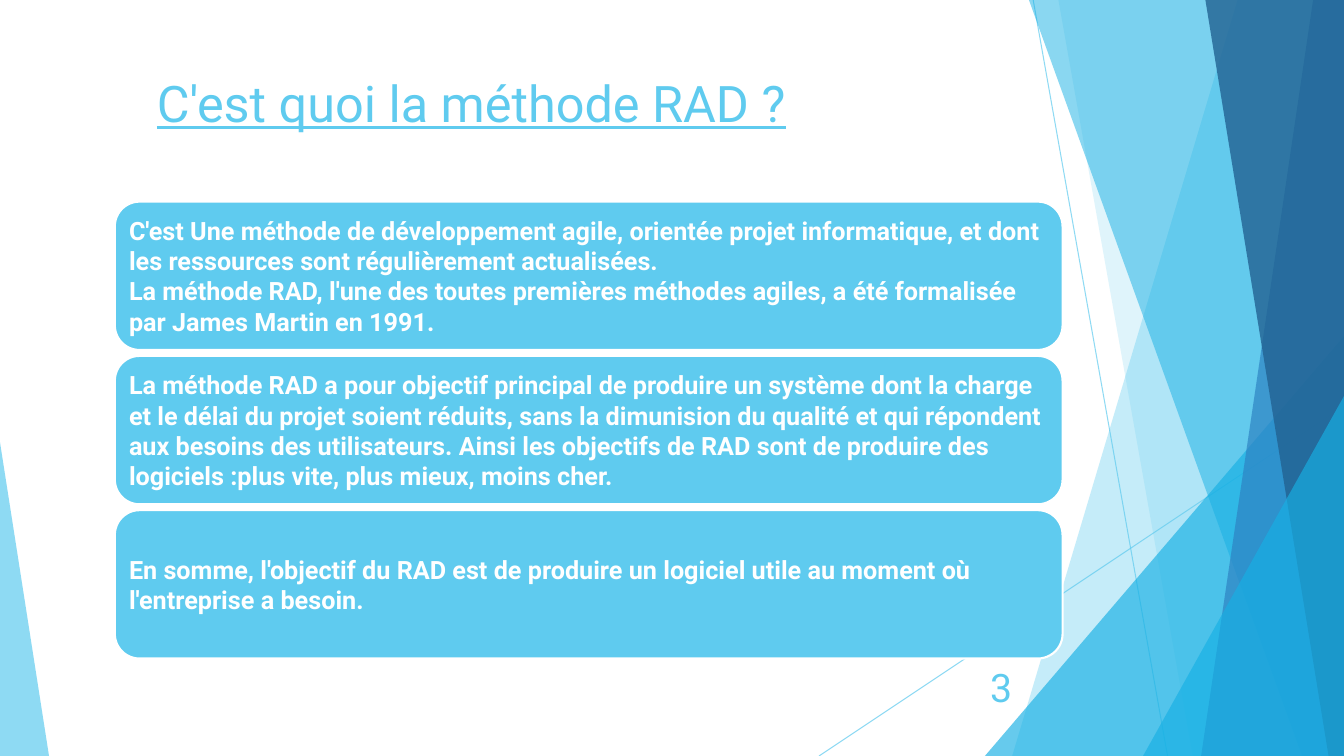
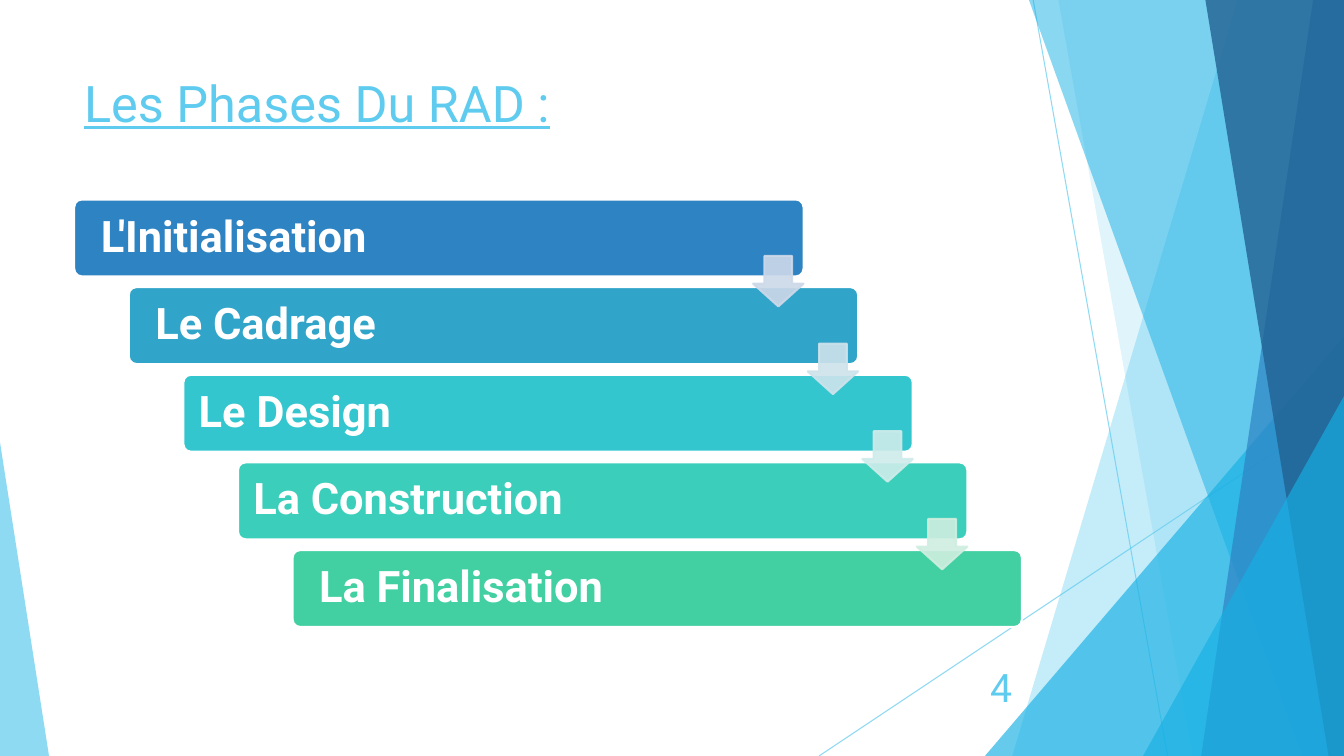
from lxml.etree import SubElement
from pptx import Presentation
from pptx.dml.color import RGBColor
from pptx.enum.shapes import MSO_CONNECTOR, MSO_SHAPE
from pptx.enum.text import MSO_ANCHOR, PP_ALIGN
from pptx.oxml.ns import qn
from pptx.util import Pt

WIDTH, HEIGHT = 960, 540
COLORS = {
    "white": "FFFFFF", "sky": "5FCBEF", "azure": "17B0E4",
    "blue": "2E83C3", "navy": "226292",
}
FORMATS = {
    "title": {"size": Pt(36), "underline": True},
    "number": {"size": Pt(28)},
    "statement": {"size": Pt(18), "bold": True},
    "phase": {"size": Pt(31), "bold": True},
}
# Backdrop, back to front: facets give top and bottom x, triangles a box and apex
BACKDROP_LINES = [(738, 0, 834, 540), (960, 290, 585, 540)]
BACKDROP = [
    ("facet", (884, 723), "sky", 36),
    ("facet", (756, 852), "sky", 20),
    ("triangle", (703.5, 240, 256.5, 300, 1), "azure", 66),
    ("facet", (735, 930), "azure", 50),
    ("facet", (938, 858), "blue", 70),
    ("facet", (861, 949), "navy", 80),
    ("triangle", (816.5, 283, 143.5, 257, 1), "azure", 66),
    ("triangle", (0, 316, 35, 224, 0), "sky", 70),
]
STATEMENTS = [
    "C'est Une méthode de développement agile, orientée projet informatique, "
    "et dont les ressources sont régulièrement actualisées.\n"
    "La méthode RAD, l'une des toutes premières méthodes agiles, a été "
    "formalisée par James Martin en 1991.",
    "La méthode RAD a pour objectif principal de produire un système dont la "
    "charge et le délai du projet soient réduits, sans la dimunision du qualité "
    "et qui répondent aux besoins des utilisateurs. Ainsi les objectifs de RAD "
    "sont de produire des logiciels :plus vite, plus mieux, moins cher.",
    "En somme, l'objectif du RAD est de produire un logiciel utile au moment "
    "où l'entreprise a besoin.",
]
# Label, bar colour, extra indent
PHASES = [
    ("L'Initialisation", "2E83C3", 8),
    ("Le Cadrage", "30A4C9", 8),
    ("Le Design", "34C6CE", 0),
    ("La Construction", "3BCFBB", 0),
    ("La Finalisation", "42D0A2", 8),
]
ARROW_COLORS = ["CDD9E9", "CEE3EB", "CEECEA", "CFEEE0"]


def rgb(color):
    return RGBColor.from_string(COLORS.get(color, color))


def set_opacity(sp, percent):
    for clr in sp.element.spPr.iter(qn("a:srgbClr")):
        SubElement(clr, qn("a:alpha")).set("val", str(percent * 1000))


class Deck:
    """Holds the style and the slide being drawn."""

    def __init__(self):
        self.prs = Presentation()
        self.prs.slide_width, self.prs.slide_height = Pt(WIDTH), Pt(HEIGHT)
        self.s = None

    def slide(self, title, title_left, number):
        self.s = self.prs.slides.add_slide(self.prs.slide_layouts[6])
        self.backdrop()
        self.textbox(title, (title_left, 48, 677, 91), "title")
        self.textbox(number, (676, 476, 54, 29), "number",
                     MSO_ANCHOR.MIDDLE, PP_ALIGN.RIGHT)

    def backdrop(self):
        for ends in BACKDROP_LINES:
            self.line(*ends)
        draw = {"facet": self.facet, "triangle": self.triangle}
        for kind, geometry, color, opacity in BACKDROP:
            draw[kind](*geometry, color, opacity)

    def line(self, *ends):
        ln = self.s.shapes.add_connector(MSO_CONNECTOR.STRAIGHT, *map(Pt, ends))
        ln.line.color.rgb, ln.line.width = rgb("sky"), Pt(0.75)
        SubElement(ln.element.spPr, qn("a:effectLst"))
        set_opacity(ln, 70)

    def facet(self, top_x, bottom_x, color, opacity):
        """Full-height panel with a slanted left edge."""
        fb = self.s.shapes.build_freeform(top_x, 0, scale=Pt(1))
        fb.add_line_segments([(WIDTH, 0), (WIDTH, HEIGHT), (bottom_x, HEIGHT)])
        self.paint(fb.convert_to_shape(), color, opacity=opacity)

    def triangle(self, left, top, width, height, apex, color, opacity):
        self.shape(MSO_SHAPE.ISOSCELES_TRIANGLE, (left, top, width, height),
                   color, adj=[apex], opacity=opacity)

    def shape(self, preset, box, color, adj=(), line=None, opacity=100):
        sp = self.s.shapes.add_shape(preset, *map(Pt, box))
        for i, value in enumerate(adj):
            sp.adjustments[i] = value
        self.paint(sp, color, line, opacity)
        return sp

    def paint(self, sp, color, line=None, opacity=100):
        sp.shadow.inherit = False
        sp.fill.solid()
        sp.fill.fore_color.rgb = rgb(color)
        if line:
            sp.line.color.rgb, sp.line.width = rgb(line), Pt(1.5)
        else:
            sp.line.fill.background()
        if opacity < 100:
            set_opacity(sp, opacity)

    def textbox(self, text, box, style, anchor=MSO_ANCHOR.TOP, align=PP_ALIGN.LEFT):
        tb = self.s.shapes.add_textbox(*map(Pt, box))
        self.fill_text(tb, text, style, "sky", anchor=anchor, align=align)

    def card(self, text, box, style, color, inset, adj=(), indent=0, spacing=1.0):
        sp = self.shape(MSO_SHAPE.ROUNDED_RECTANGLE, box, color, adj, line="white")
        self.fill_text(sp, text, style, "white",
                       (inset + indent, inset, inset, inset), spacing=spacing)

    def fill_text(self, sp, text, style, color, insets=(7.2, 3.6, 7.2, 3.6),
                  anchor=MSO_ANCHOR.MIDDLE, align=PP_ALIGN.LEFT, spacing=1.0):
        tf = sp.text_frame
        tf.word_wrap, tf.vertical_anchor = True, anchor
        for side, inset in zip(("left", "top", "right", "bottom"), insets):
            setattr(tf, f"margin_{side}", Pt(inset))
        p = tf.paragraphs[0]
        p.alignment, p.line_spacing = align, spacing
        for i, row in enumerate(text.split("\n")):
            if i:
                p.add_line_break()
            r = p.add_run()
            r.text = row
            r.font.name, r.font.color.rgb = "Roboto", rgb(color)
            for name, value in FORMATS[style].items():
                setattr(r.font, name, value)


def definition_slide(deck):
    deck.slide("C'est quoi la méthode RAD ?", 105, "3")
    for i, text in enumerate(STATEMENTS):
        deck.card(text, (82, 144 + 110.2 * i, 677, 106), "statement", "sky", inset=5)


def phases_slide(deck):
    deck.slide("Les Phases Du RAD :", 53, "4")
    left, top, width, height = 53, 142.5, 521, 55
    step_x, step_y, arrow = 39, 62.6, 36
    for i, (label, color, indent) in enumerate(PHASES):
        deck.card(label, (left + step_x * i, top + step_y * i, width, height),
                  "phase", color, inset=9.4, adj=[0.1], indent=indent, spacing=0.9)
    for i, color in enumerate(ARROW_COLORS):
        box = (left + width - arrow + step_x * i, top + 40.4 + step_y * i, arrow, arrow)
        deck.shape(MSO_SHAPE.DOWN_ARROW, box, color, [0.55, 0.45], color, opacity=90)


def main():
    deck = Deck()
    definition_slide(deck)
    phases_slide(deck)
    deck.prs.save("out.pptx")


if __name__ == "__main__":
    main()
